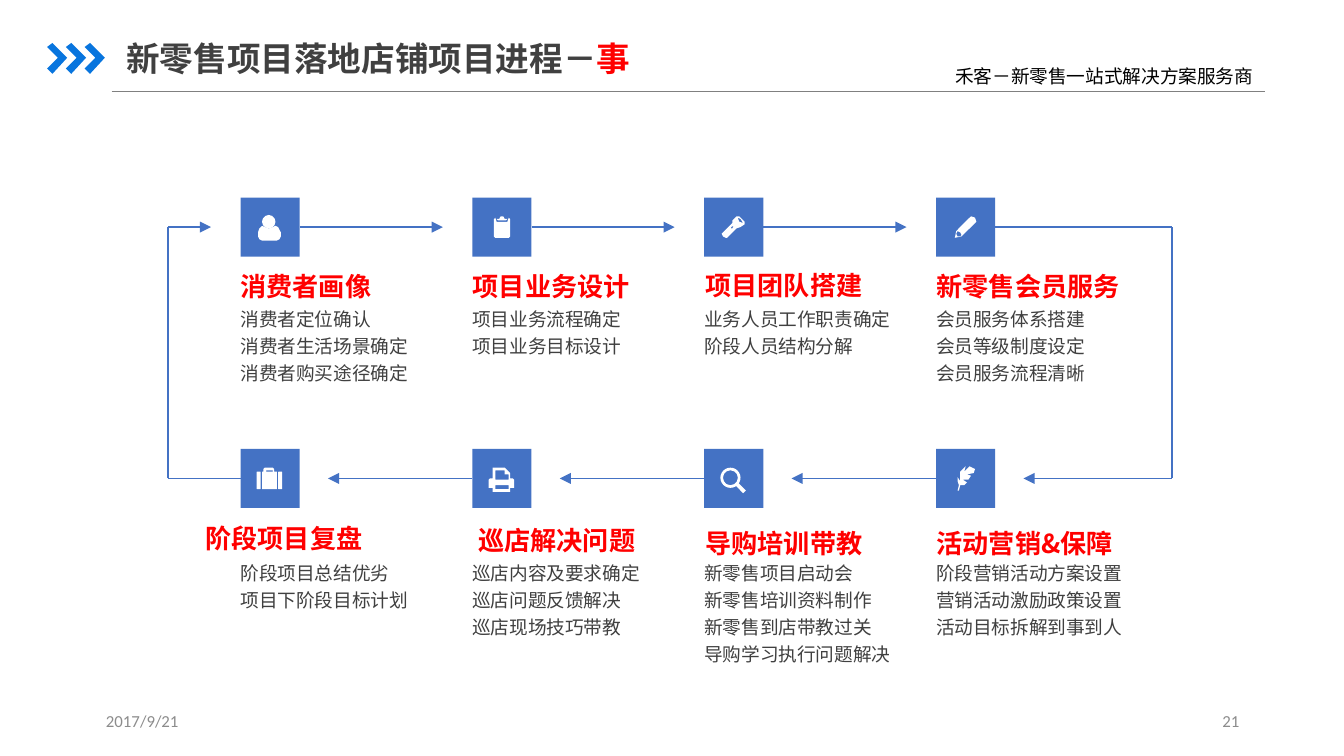
from lxml import etree
from pptx import Presentation
from pptx.dml.color import RGBColor
from pptx.enum.shapes import MSO_CONNECTOR, MSO_SHAPE
from pptx.enum.text import MSO_ANCHOR, MSO_AUTO_SIZE, PP_ALIGN
from pptx.oxml.ns import qn
from pptx.util import Inches, Pt

STRAIGHT = MSO_CONNECTOR.STRAIGHT
OVAL, RECT = MSO_SHAPE.OVAL, MSO_SHAPE.RECTANGLE
DONUT, ROUNDED = MSO_SHAPE.DONUT, MSO_SHAPE.ROUNDED_RECTANGLE
TOP, MIDDLE = MSO_ANCHOR.TOP, MSO_ANCHOR.MIDDLE
LEFT, RIGHT, JUSTIFY = PP_ALIGN.LEFT, PP_ALIGN.RIGHT, PP_ALIGN.JUSTIFY

BLUE = RGBColor(0x44, 0x72, 0xC4)
BRIGHT_BLUE = RGBColor(0x08, 0x75, 0xDE)
RED = RGBColor(0xFF, 0, 0)
DARK = RGBColor(0x40, 0x40, 0x40)
BLACK = RGBColor(0, 0, 0)
WHITE = RGBColor(0xFF, 0xFF, 0xFF)
RULE_GRAY = RGBColor(0x80, 0x80, 0x80)
FOOTER_GRAY = RGBColor(0x8C, 0x8C, 0x8C)
CJK = "Noto Sans CJK SC"

TITLE = [("新零售项目落地店铺项目进程－", DARK), ("事", RED)]
TAGLINE = "禾客－新零售一站式解决方案服务商"
DATE, PAGE = "2017/9/21", "21"

# Icon parts, in hundredths of an inch from the tile corner:
# (preset, left, top, width, height) or a list of contours, the later ones holes.
PERSON = [
    (OVAL, 16, 13, 10, 10),
    [[(16, 21), (18, 22), (21, 23), (24, 22), (26, 21), (28, 22), (29, 24), (30, 26),
      (30, 29), (29, 31), (27, 32), (16, 32), (14, 31), (13, 29), (13, 26), (14, 23)]],
]
CLIPBOARD = [
    [[(16, 16), (17, 15), (18, 18), (26, 18), (27, 15), (28, 16), (28, 29),
      (27, 30), (17, 30), (16, 29)]],
    [[(18, 16), (20, 16), (21, 14), (23, 14), (24, 16), (26, 16), (25, 17), (19, 17)]],
]
TORCH = [[
    [(28, 16), (26, 14), (24, 14), (21, 17), (21, 19), (13, 27), (14, 29), (16, 30),
     (17, 30), (24, 23), (27, 22), (30, 20), (30, 18)],
    [(26, 18), (25, 15), (27, 16), (29, 19)],
    [(20, 23), (20, 22), (22, 21), (21, 23)],
]]
PENCIL = [[
    [(29, 15), (26, 14), (21, 19), (15, 25), (14, 30), (19, 29), (25, 23), (30, 18)],
    [(18, 29), (16, 29), (15, 27), (16, 25), (18, 26), (19, 28)],
]]
SUITCASE = [
    (ROUNDED, 12, 17, 3, 13),
    [[(16, 17), (17, 17), (17, 15), (18, 14), (24, 14), (25, 15), (25, 17), (27, 17),
      (27, 30), (16, 30)], [(19, 16), (24, 16), (24, 17), (19, 17)]],
    (ROUNDED, 28, 17, 3, 13),
]
PRINTER = [[
    [(15, 14), (24, 14), (28, 18), (28, 22), (30, 22), (31, 23), (31, 29), (28, 29),
     (28, 32), (15, 32), (15, 29), (12, 29), (12, 23), (13, 22), (15, 22)],
    [(17, 16), (24, 16), (24, 19), (27, 19), (27, 23), (17, 23)],
    [(17, 27), (27, 27), (27, 30), (17, 30)],
]]
MAGNIFIER = [(DONUT, 12, 14, 15, 15), [[(25, 25), (31, 31), (29, 33), (23, 27)]]]
FEATHER = [[[(17, 31), (18, 27), (21, 27), (23, 25), (20, 23), (24, 23), (26, 20),
             (23, 19), (28, 18), (29, 15), (25, 13), (21, 17), (22, 13), (18, 17),
             (18, 24), (16, 21), (16, 24), (17, 27), (16, 31)]]]

# Rows of (heading, heading left, heading middle, icon, details)
ROWS = [
    [("消费者画像", 1.69, 2.13, PERSON,
      ["消费者定位确认", "消费者生活场景确定", "消费者购买途径确定"]),
     ("项目业务设计", 3.42, 2.13, CLIPBOARD, ["项目业务流程确定", "项目业务目标设计"]),
     ("项目团队搭建", 5.15, 2.12, TORCH, ["业务人员工作职责确定", "阶段人员结构分解"]),
     ("新零售会员服务", 6.87, 2.13, PENCIL,
      ["会员服务体系搭建", "会员等级制度设定", "会员服务流程清晰"])],
    [("阶段项目复盘", 1.43, 4.0, SUITCASE, ["阶段项目总结优劣", "项目下阶段目标计划"]),
     ("巡店解决问题", 3.46, 4.02, PRINTER,
      ["巡店内容及要求确定", "巡店问题反馈解决", "巡店现场技巧带教"]),
     ("导购培训带教", 5.15, 4.04, MAGNIFIER,
      ["新零售项目启动会", "新零售培训资料制作", "新零售到店带教过关", "导购学习执行问题解决"]),
     ("活动营销&保障", 6.87, 4.04, FEATHER,
      ["阶段营销活动方案设置", "营销活动激励政策设置", "活动目标拆解到事到人"])],
]
COLUMNS = [1.79 + 1.725 * i for i in range(4)]
TILE_TOPS, DETAIL_TOPS = [1.47, 3.34], [2.26, 4.15]
TILE = 0.44
LOOP_LEFT, LOOP_RIGHT = 1.25, 8.72

prs = Presentation()
prs.slide_width = Inches(10)
prs.slide_height = prs.slide_width * 9 // 16
slide = prs.slides.add_slide(prs.slide_layouts[5])
shapes = slide.shapes


def write(paragraphs, left, top, width, height, *, size, font=CJK, color=DARK, bold=False,
          align=LEFT, anchor=MIDDLE, inset=0.1, spacing=None, box=None):
    """Fill a box, new by default; a paragraph is a string or a list of (text, colour)."""
    box = box or shapes.add_textbox(0, 0, 0, 0)
    box.left, box.top, box.width, box.height = map(Inches, (left, top, width, height))
    frame = box.text_frame
    frame.word_wrap, frame.auto_size, frame.vertical_anchor = True, MSO_AUTO_SIZE.NONE, anchor
    frame.margin_left = frame.margin_right = Inches(inset)
    frame.margin_top = frame.margin_bottom = 0
    for i, content in enumerate(paragraphs):
        paragraph = frame.add_paragraph() if i else frame.paragraphs[0]
        paragraph.alignment, paragraph.line_spacing = align, spacing
        runs = [(content, color)] if isinstance(content, str) else content
        for text, run_color in runs:
            run = paragraph.add_run()
            run.text = text
            run.font.size, run.font.bold, run.font.name = Pt(size), bold, font
            run.font.color.rgb = run_color
            etree.SubElement(run.font._element, qn("a:ea"), typeface=CJK)


def paint(shape, color):
    shape.shadow.inherit = False
    shape.fill.solid()
    shape.fill.fore_color.rgb = color
    shape.line.fill.background()


def add_outline(contours, left, top, color):
    """Draw closed contours given in hundredths of an inch."""
    builder = shapes.build_freeform(*contours[0][0], scale=Inches(0.01))
    builder.add_line_segments(contours[0][1:])
    for hole in contours[1:]:
        builder.move_to(*hole[0])
        builder.add_line_segments(hole[1:])
    paint(builder.convert_to_shape(Inches(left), Inches(top)), color)


def add_preset(preset, left, top, width, height, color):
    shape = shapes.add_shape(preset, *map(Inches, (left, top, width, height)))
    if preset == DONUT:
        shape.adjustments[0] = 0.13
    paint(shape, color)


def add_line(x1, y1, x2, y2, color=BLUE, width=1, arrow=False):
    line = shapes.add_connector(STRAIGHT, *map(Inches, (x1, y1, x2, y2)))
    line.line.color.rgb, line.line.width = color, Pt(width)
    if arrow:
        etree.SubElement(line.line._get_or_add_ln(), qn("a:tailEnd"), type="triangle")
    etree.SubElement(line._element.spPr, qn("a:effectLst"))


# Header and footer
write([TITLE], 0.94, 0.22, 3.94, 0.42, size=18, font="Arial", bold=True, inset=0,
      box=shapes.title)
write([TAGLINE], 6.97, 0.43, 2.45, 0.27, size=10, color=BLACK, align=RIGHT)
add_line(0.83, 0.68, 9.41, 0.68, RULE_GRAY, 0.5)
chevron = [(0, 3), (4, 0), (15, 11), (4, 23), (0, 19), (8, 11)]
for i in range(3):
    add_outline([chevron], 0.35 + 0.14 * i, 0.32, BRIGHT_BLUE)
for text, left, align in [(DATE, 0.69, LEFT), (PAGE, 7.07, RIGHT)]:
    write([text], left, 5.21, 2.25, 0.3, size=9, font="Calibri", color=FOOTER_GRAY, align=align)

# Process loop: rightwards on top, down, leftwards below, and up again
upper, lower = [top + TILE / 2 for top in TILE_TOPS]
for x, next_x in zip(COLUMNS, COLUMNS[1:]):
    add_line(x + TILE, upper, next_x - 0.22, upper, arrow=True)
for x, start in zip(COLUMNS, COLUMNS[1:] + [LOOP_RIGHT]):
    add_line(start, lower, x + 0.65, lower, arrow=True)
add_line(COLUMNS[-1] + TILE, upper, LOOP_RIGHT, upper)
add_line(LOOP_RIGHT, upper, LOOP_RIGHT, lower)
add_line(COLUMNS[0], lower, LOOP_LEFT, lower)
add_line(LOOP_LEFT, lower, LOOP_LEFT, upper)
add_line(LOOP_LEFT, upper, COLUMNS[0] - 0.22, upper, arrow=True)

# Steps
for row, tile_top, detail_top in zip(ROWS, TILE_TOPS, DETAIL_TOPS):
    for x, (heading, heading_left, middle, icon, details) in zip(COLUMNS, row):
        add_preset(RECT, x, tile_top, TILE, TILE, BLUE)
        for part in icon:
            if isinstance(part, tuple):
                preset, left, top, width, height = part
                add_preset(preset, x + left / 100, tile_top + top / 100,
                           width / 100, height / 100, WHITE)
            else:
                add_outline(part, x, tile_top, WHITE)
        write([heading], heading_left, middle - 0.15, 1.7, 0.3, size=14, color=RED, bold=True)
        write(details, x, detail_top, 1.5, 0.2 * len(details), size=10, font="Arial",
              align=JUSTIFY, anchor=TOP, inset=0, spacing=Pt(14.4))

prs.save("out.pptx")
